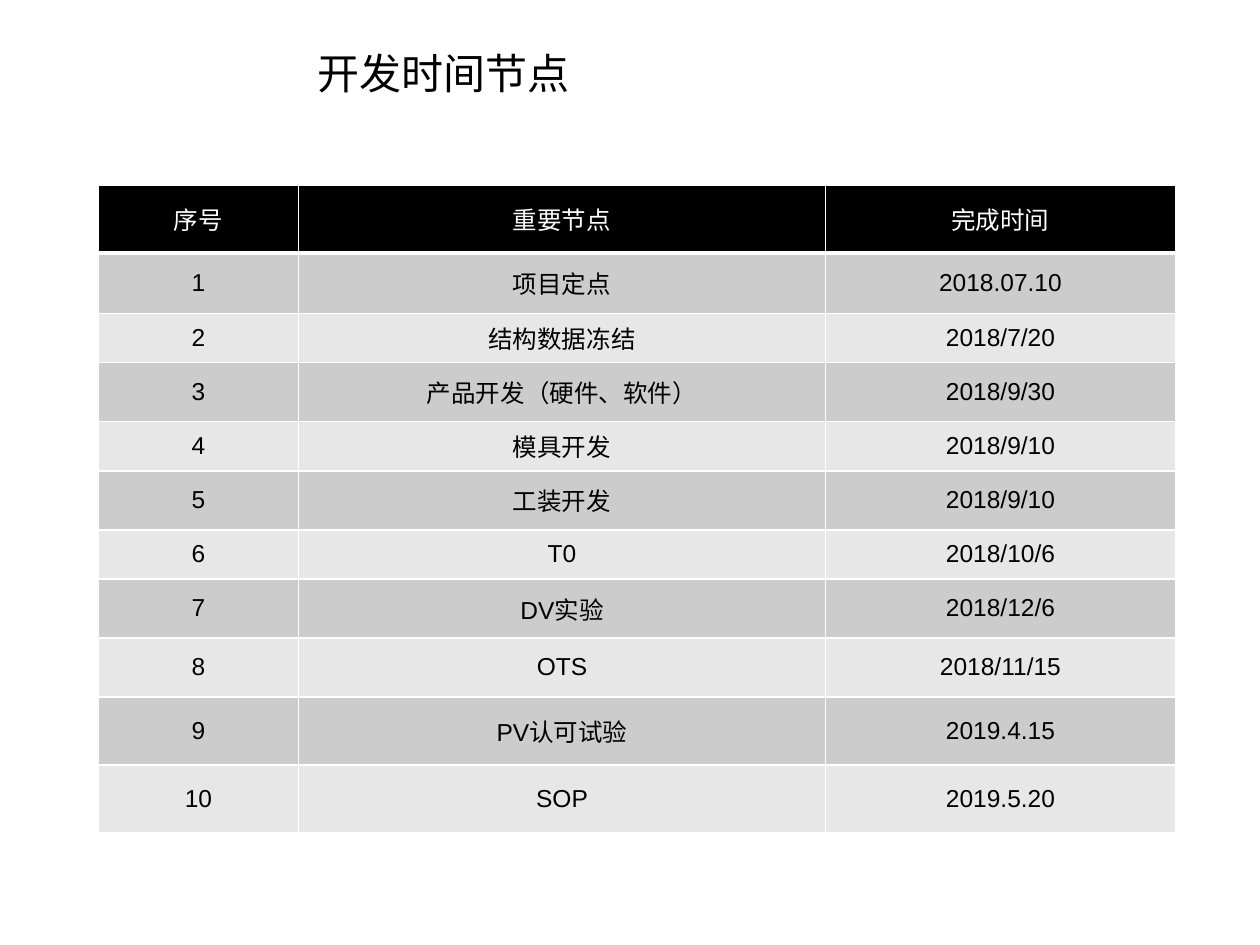
from lxml.etree import SubElement
from pptx import Presentation
from pptx.dml.color import RGBColor
from pptx.enum.text import MSO_ANCHOR, MSO_AUTO_SIZE, PP_ALIGN
from pptx.oxml import parse_xml
from pptx.oxml.ns import nsdecls, qn
from pptx.util import Cm, Pt

COLORS = {"ink": "000000", "paper": "FFFFFF", "odd": "CCCCCC", "even": "E7E7E7"}
LATIN, HAN = "Arial", "Noto Sans CJK SC"
HEAD = ("序号", "重要节点", "完成时间")
STEPS = [
    ("项目定点", "2018.07.10"),
    ("结构数据冻结", "2018/7/20"),
    ("产品开发（硬件、软件）", "2018/9/30"),
    ("模具开发", "2018/9/10"),
    ("工装开发", "2018/9/10"),
    ("T0", "2018/10/6"),
    ("DV实验", "2018/12/6"),
    ("OTS", "2018/11/15"),
    ("PV认可试验", "2019.4.15"),
    ("SOP", "2019.5.20"),
]
WIDTHS = (4.04, 10.62, 7.06)
HEIGHTS = (1.37, 1.22, 0.99, 1.19, 0.99, 1.19, 0.99, 1.19, 1.19, 1.37, 1.37)


def color(name):
    return RGBColor.from_string(COLORS[name])


def add_run(para, text, size, ink, face):
    run = para.add_run()
    run.text = text
    font = run.font
    font.size, font.name = Pt(size), face
    font.color.rgb = color(ink)
    SubElement(font._element, qn("a:ea")).set("typeface", HAN)


def add_title(slide, left, top, width, height):
    box = slide.shapes.add_textbox(Cm(left), Cm(top), Cm(width), Cm(height))
    frame = box.text_frame
    frame.word_wrap = True
    frame.auto_size = MSO_AUTO_SIZE.SHAPE_TO_FIT_TEXT
    add_run(frame.paragraphs[0], "开发时间节点", 24, "ink", HAN)


def add_edges(cell, base):
    # Borders come before the fill in the cell properties
    props = cell._tc.get_or_add_tcPr()
    for spot, (side, width) in enumerate(zip("LRTB", (1, 1, 1, base))):
        props.insert(spot, parse_xml(
            f'<a:ln{side} {nsdecls("a")} w="{Pt(width)}"><a:solidFill>'
            f'<a:srgbClr val="{COLORS["paper"]}"/></a:solidFill></a:ln{side}>'))


def add_cell(cell, text, fill, ink, base):
    cell.fill.solid()
    cell.fill.fore_color.rgb = color(fill)
    cell.vertical_anchor = MSO_ANCHOR.MIDDLE
    add_edges(cell, base)
    para = cell.text_frame.paragraphs[0]
    para.alignment = PP_ALIGN.CENTER
    add_run(para, text, 14, ink, LATIN)


def add_plan(slide, left, top):
    rows = [HEAD] + [(str(num), *step) for num, step in enumerate(STEPS, 1)]
    table = slide.shapes.add_table(
        len(rows), len(HEAD), Cm(left), Cm(top),
        Cm(sum(WIDTHS)), Cm(sum(HEIGHTS))).table
    for col, width in zip(table.columns, WIDTHS):
        col.width = Cm(width)
    for row, height in zip(table.rows, HEIGHTS):
        row.height = Cm(height)
    for r, row in enumerate(rows):
        # Dark header, then alternating bands
        if r == 0:
            look = ("ink", "paper", 3)
        else:
            look = ("odd" if r % 2 else "even", "ink", 1)
        for c, text in enumerate(row):
            add_cell(table.cell(r, c), text, *look)


def main():
    deck = Presentation()
    deck.slide_width, deck.slide_height = Cm(25.4), Cm(19.05)
    slide = deck.slides.add_slide(deck.slide_layouts[6])
    add_title(slide, 6.15, 0.84, 17.58, 1.3)
    add_plan(slide, 1.98, 3.73)
    deck.save("out.pptx")


if __name__ == "__main__":
    main()
